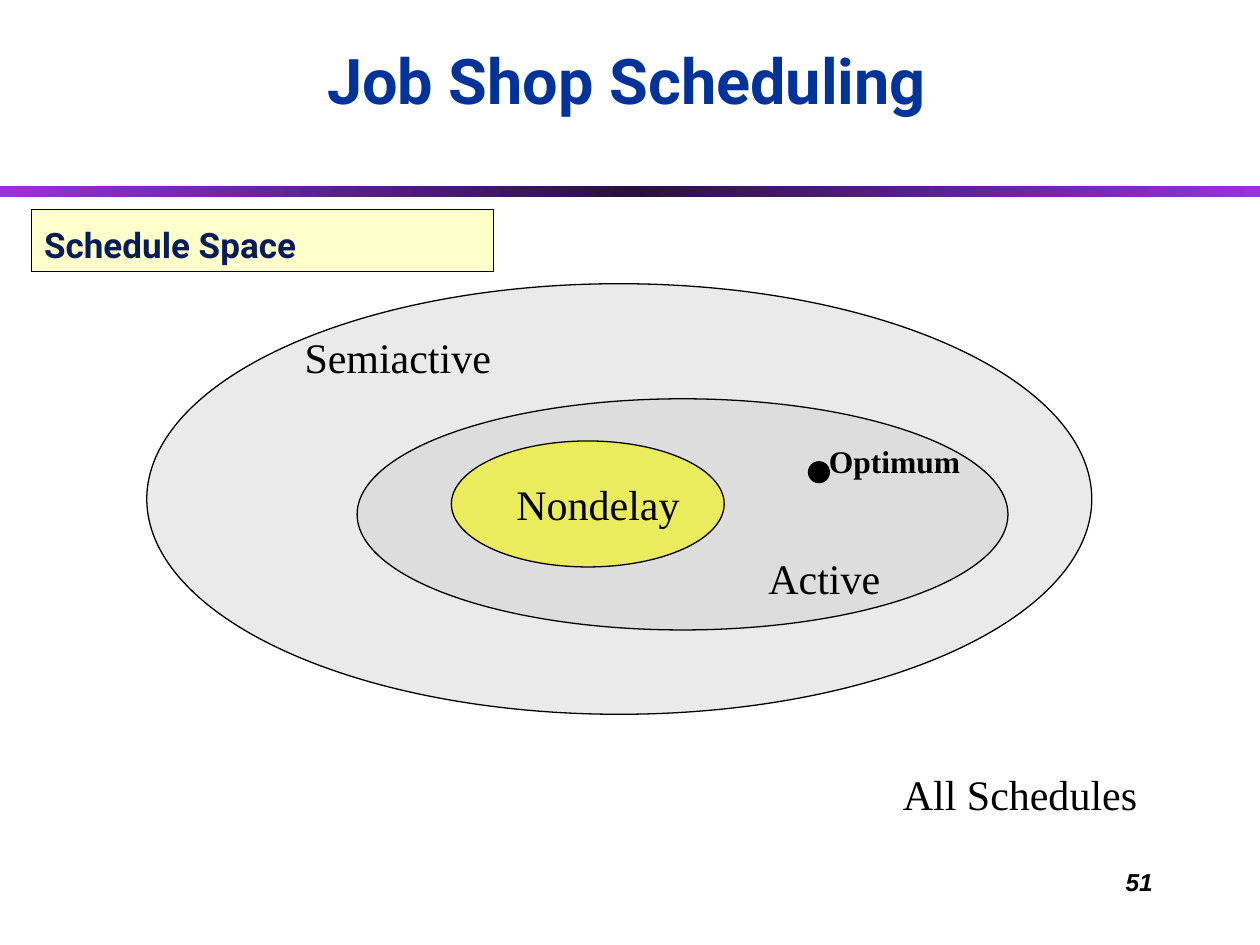
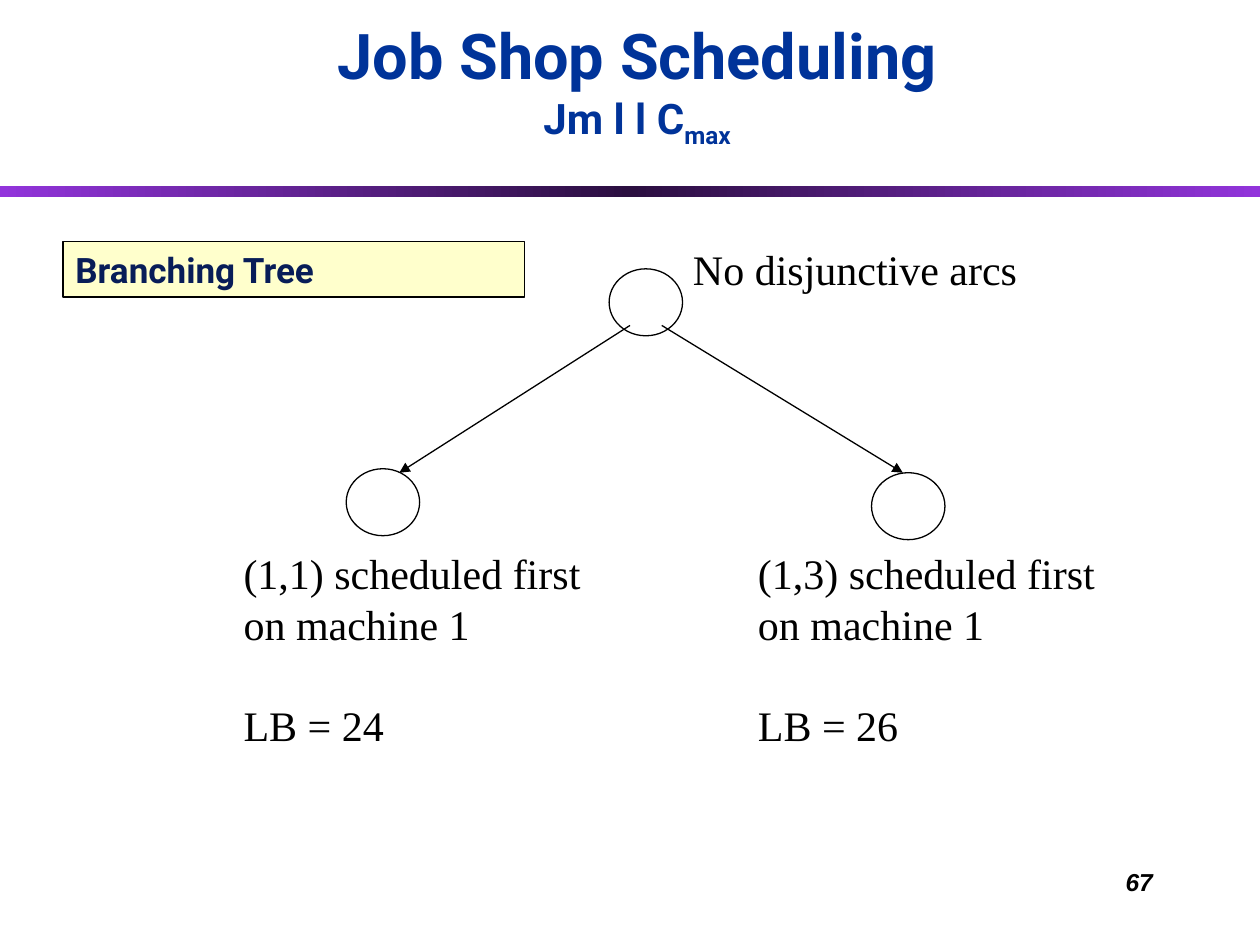
from dataclasses import dataclass
from typing import Optional

from lxml import etree
from pptx import Presentation
from pptx import util as u
from pptx.dml.color import RGBColor
from pptx.enum import shapes, text
from pptx.oxml import ns, parse_xml

# Shared look
BLACK = RGBColor(0x00, 0x00, 0x00)
TITLE_BLUE = RGBColor(0x00, 0x33, 0x99)
HEADING_NAVY = RGBColor(0x08, 0x1D, 0x58)
HEADING_CREAM = RGBColor(0xFF, 0xFF, 0xCC)
SEMIACTIVE_GREY = RGBColor(0xEA, 0xEA, 0xEA)
ACTIVE_GREY = RGBColor(0xDD, 0xDD, 0xDD)
NONDELAY_YELLOW = RGBColor(0xEA, 0xEC, 0x5E)
BAND_PURPLE = RGBColor(0x92, 0x34, 0xDB)
BAND_DARK = RGBColor(0x2B, 0x0F, 0x40)

HEADING_FONT = "Roboto"
BODY_FONT = "Times New Roman"
NUMBER_FONT = "Arial"
LINE_WIDTH = u.Pt(0.75)
LABEL_HEIGHT = 1.27
BLANK_LINE = 28.8


@dataclass(frozen=True)
class Box:
    """Left, top, width and height in centimetres."""
    left: float
    top: float
    width: float
    height: float

    def lengths(self) -> tuple:
        return tuple(u.Cm(value) for value in
                     (self.left, self.top, self.width, self.height))


@dataclass(frozen=True)
class Line:
    """One paragraph, with what sets it apart from its box."""
    words: str
    size: Optional[float] = None
    subscript: str = ""
    space_before: float = 0


@dataclass(frozen=True)
class Ellipse:
    box: Box
    fill: Optional[RGBColor] = None


@dataclass(frozen=True)
class Label:
    box: Box
    lines: tuple
    size: float = 24
    bold: bool = False


@dataclass(frozen=True)
class Arrow:
    start: tuple
    end: tuple


def write_text(shape, lines, *, font=BODY_FONT, size=24.0, color=BLACK,
               bold=False, italic=False, align=text.PP_ALIGN.LEFT,
               anchor=text.MSO_ANCHOR.TOP, wrap=True) -> None:
    frame = shape.text_frame
    frame.word_wrap = wrap
    frame.vertical_anchor = anchor
    for index, line in enumerate(lines):
        paragraph = frame.add_paragraph() if index else frame.paragraphs[0]
        paragraph.alignment = align
        if line.space_before:
            paragraph.space_before = u.Pt(line.space_before)
        for words, lowered in ((line.words, False), (line.subscript, True)):
            if not words:
                continue
            run = paragraph.add_run()
            run.text = words
            run.font.name = font
            run.font.size = u.Pt(line.size or size)
            run.font.bold = bold
            run.font.italic = italic
            run.font.color.rgb = color
            if lowered:
                run.font._element.set("baseline", "-25000")


def add_text(slide, box: Box, lines, **text_format) -> None:
    write_text(slide.shapes.add_textbox(*box.lengths()), lines, **text_format)


def add_shape(slide, kind, box: Box, fill: Optional[RGBColor] = None):
    shape = slide.shapes.add_shape(kind, *box.lengths())
    shape.shadow.inherit = False
    if fill is None:
        shape.fill.background()
    else:
        shape.fill.solid()
        shape.fill.fore_color.rgb = fill
    shape.line.color.rgb = BLACK
    shape.line.width = LINE_WIDTH
    return shape


def add_ellipse(slide, ellipse: Ellipse) -> None:
    add_shape(slide, shapes.MSO_SHAPE.OVAL, ellipse.box, ellipse.fill)


def add_label(slide, label: Label) -> None:
    add_text(slide, label.box, label.lines, size=label.size, bold=label.bold,
             wrap=False)


def add_arrow(slide, arrow: Arrow) -> None:
    connector = slide.shapes.add_connector(
        shapes.MSO_CONNECTOR.STRAIGHT,
        *(u.Cm(value) for value in arrow.start + arrow.end))
    connector.line.color.rgb = BLACK
    connector.line.width = LINE_WIDTH
    line = connector.line._get_or_add_ln()
    etree.SubElement(line, ns.qn("a:tailEnd"), type="triangle")
    etree.SubElement(connector._element.spPr, ns.qn("a:effectLst"))


def add_band(slide) -> None:
    band = add_shape(slide, shapes.MSO_SHAPE.RECTANGLE,
                     Box(0, 3.76, 25.4, 0.21))
    band.line.fill.background()
    stops = "".join(
        f'<a:gs pos="{position}"><a:srgbClr val="{color}"/></a:gs>'
        for position, color in ((0, BAND_PURPLE), (50000, BAND_DARK),
                                (100000, BAND_PURPLE)))
    gradient = parse_xml(
        f'<a:gradFill {ns.nsdecls("a")}><a:gsLst>{stops}</a:gsLst>'
        '<a:lin ang="0" scaled="0"/></a:gradFill>')
    properties = band._element.spPr
    properties.replace(properties.find(ns.qn("a:noFill")), gradient)


def add_frame(presentation, number: str, title_box: Box, title_lines,
              heading_box: Box, heading: str):
    """Start a slide with its band, number, title and heading box."""
    slide = presentation.slides.add_slide(presentation.slide_layouts[6])
    add_band(slide)
    add_text(slide, Box(18.21, 17.35, 5.28, 1.27), [Line(number)],
             font=NUMBER_FONT, size=14, bold=True, italic=True,
             align=text.PP_ALIGN.RIGHT)
    add_text(slide, title_box, title_lines, font=HEADING_FONT, size=36,
             color=TITLE_BLUE, bold=True, align=text.PP_ALIGN.CENTER,
             anchor=text.MSO_ANCHOR.BOTTOM)
    heading_shape = add_shape(slide, shapes.MSO_SHAPE.RECTANGLE, heading_box,
                              HEADING_CREAM)
    write_text(heading_shape, [Line(heading)], font=HEADING_FONT, size=20,
               color=HEADING_NAVY, bold=True, anchor=text.MSO_ANCHOR.BOTTOM)
    return slide


def build_schedule_space(presentation) -> None:
    slide = add_frame(presentation, "51", Box(0.43, 0.84, 24.41, 1.65),
                      [Line("Job Shop Scheduling")],
                      Box(0.64, 4.23, 9.31, 1.25), "Schedule Space")

    # Nested schedule classes, outermost first, then the optimum point
    for ellipse in (
        Ellipse(Box(2.96, 5.72, 19.05, 8.68), SEMIACTIVE_GREY),
        Ellipse(Box(7.2, 8.04, 13.12, 4.66), ACTIVE_GREY),
        Ellipse(Box(9.1, 8.89, 5.5, 2.54), NONDELAY_YELLOW),
        Ellipse(Box(16.3, 9.31, 0.42, 0.42), BLACK),
    ):
        add_ellipse(slide, ellipse)

    for label in (
        Label(Box(10.16, 9.53, 3.81, LABEL_HEIGHT), (Line("Nondelay"),)),
        Label(Box(15.24, 11.01, 2.77, LABEL_HEIGHT), (Line("Active"),)),
        Label(Box(5.89, 6.56, 4.27, LABEL_HEIGHT), (Line("Semiactive"),)),
        Label(Box(17.95, 15.36, 5.23, LABEL_HEIGHT), (Line("All Schedules"),)),
        Label(Box(16.46, 8.79, 3.15, 1.02), (Line("Optimum"),), 18, True),
    ):
        add_label(slide, label)


def build_branching_tree(presentation) -> None:
    slide = add_frame(presentation, "67", Box(0.64, 0.42, 24.41, 2.72),
                      [Line("Job Shop Scheduling"),
                       Line("Jm l l C", size=24, subscript="max")],
                      Box(1.27, 4.87, 9.31, 1.12), "Branching Tree")

    # Root node and its two children
    for left, top in ((12.28, 5.42), (6.98, 9.45), (17.57, 9.53)):
        add_ellipse(slide, Ellipse(Box(left, top, 1.48, 1.35)))
    for arrow in (Arrow((12.7, 6.56), (8.05, 9.53)),
                  Arrow((13.34, 6.56), (18.2, 9.53))):
        add_arrow(slide, arrow)

    # Node captions
    add_label(slide, Label(Box(13.72, 4.78, 7.04, LABEL_HEIGHT),
                           (Line("No disjunctive arcs"),)))
    for left, operation, bound in ((4.66, "(1,1)", 24), (15.03, "(1,3)", 26)):
        add_label(slide, Label(
            Box(left, 10.92, 7.32, 4.32),
            (Line(f"{operation} scheduled first"), Line("on machine 1"),
             Line(f"LB = {bound}", space_before=BLANK_LINE))))


def main() -> None:
    presentation = Presentation()
    presentation.slide_width = u.Cm(25.4)
    presentation.slide_height = u.Cm(19.05)
    build_schedule_space(presentation)
    build_branching_tree(presentation)
    presentation.save("out.pptx")


if __name__ == "__main__":
    main()
